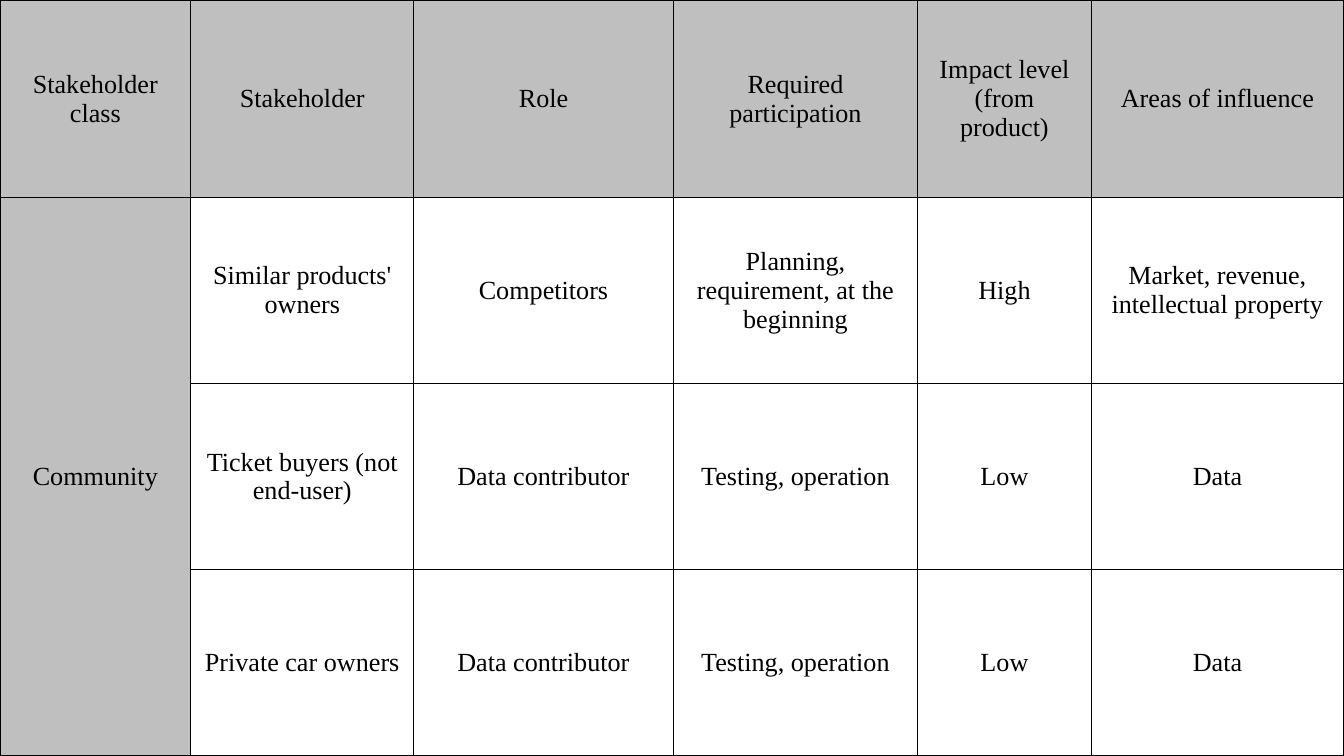
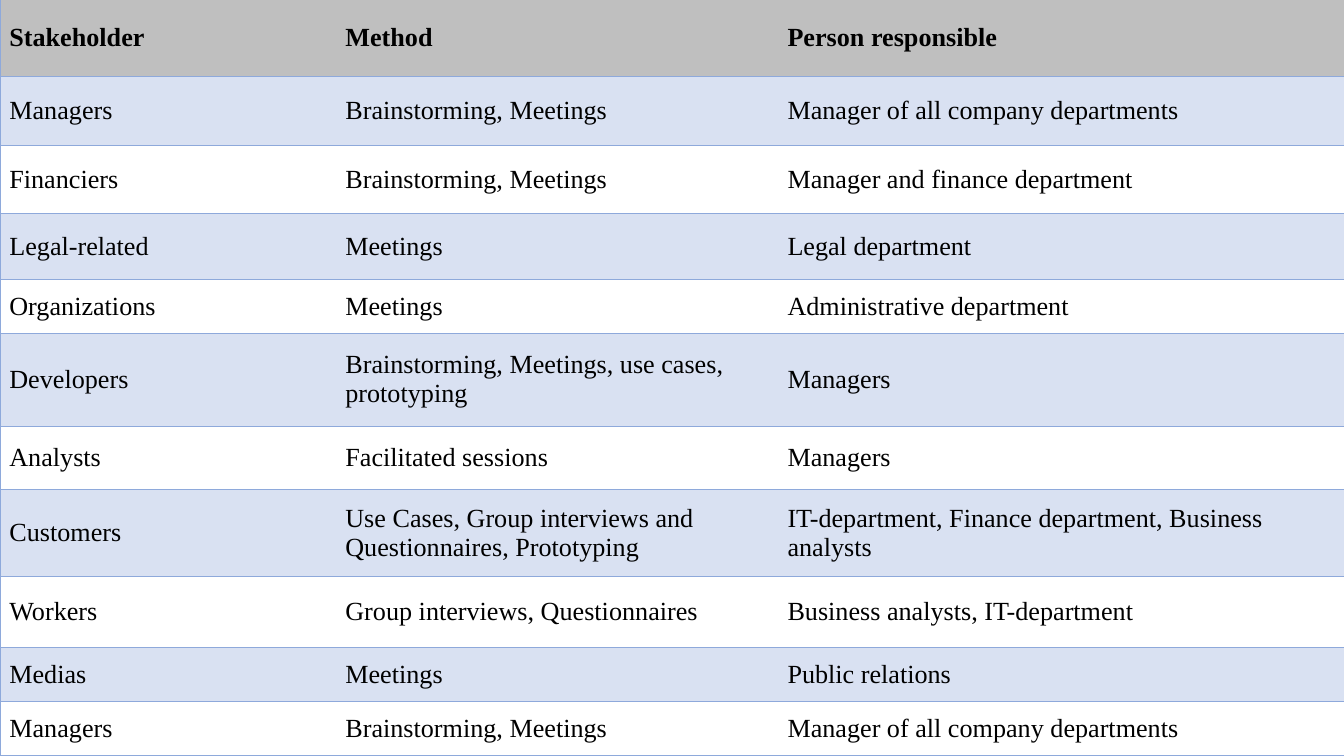
from lxml.etree import SubElement
from pptx import Presentation
from pptx.dml.color import RGBColor
from pptx.enum.text import MSO_ANCHOR, PP_ALIGN
from pptx.oxml.ns import qn
from pptx.util import Inches, Pt

COLORS = {
    "ink": "000000",
    "head": "BFBFBF",
    "plain": "FFFFFF",
    "band": "D9E1F2",
    "rule": "8EA9DB",
}
FONT = "Times New Roman"
WIDE = 10
HIGH = WIDE * 9 / 16

IMPACT = [
    ["Stakeholder class", "Stakeholder", "Role", "Required participation",
     "Impact level (from product)", "Areas of influence"],
    ["Community", "Similar products' owners", "Competitors",
     "Planning, requirement, at the beginning", "High",
     "Market, revenue, intellectual property"],
    ["", "Ticket buyers (not end-user)", "Data contributor",
     "Testing, operation", "Low", "Data"],
    ["", "Private car owners", "Data contributor",
     "Testing, operation", "Low", "Data"],
]
METHODS = [
    ["Stakeholder", "Method", "Person responsible"],
    ["Managers", "Brainstorming, Meetings", "Manager of all company departments"],
    ["Financiers", "Brainstorming, Meetings", "Manager and finance department"],
    ["Legal-related", "Meetings", "Legal department"],
    ["Organizations", "Meetings", "Administrative department"],
    ["Developers", "Brainstorming, Meetings, use cases, prototyping", "Managers"],
    ["Analysts", "Facilitated sessions", "Managers"],
    ["Customers", "Use Cases, Group interviews and Questionnaires, Prototyping",
     "IT-department, Finance department, Business analysts"],
    ["Workers", "Group interviews, Questionnaires", "Business analysts, IT-department"],
    ["Medias", "Meetings", "Public relations"],
    ["Managers", "Brainstorming, Meetings", "Manager of all company departments"],
]


def write(frame, text, size=14, bold=False, color="ink", align=PP_ALIGN.LEFT, gap=0):
    para = frame.paragraphs[0]
    para.alignment = align
    para.space_before = para.space_after = Pt(gap)
    run = para.add_run()
    run.text = text
    run.font.name = FONT
    run.font.size = Pt(size)
    run.font.bold = bold
    run.font.color.rgb = RGBColor.from_string(COLORS[color])


def border(cell, sides, color, width):
    """Draw the named sides (letters of LRTB) and clear the others."""
    props = cell._tc.get_or_add_tcPr()
    for side in "LRTB":
        line = SubElement(props, qn("a:ln" + side), w=str(Pt(width)))
        if side in sides:
            fill = SubElement(line, qn("a:solidFill"))
            SubElement(fill, qn("a:srgbClr"), val=COLORS[color])
        else:
            SubElement(line, qn("a:noFill"))


class Deck:
    def __init__(self):
        self.prs = Presentation()
        self.prs.slide_width = Inches(WIDE)
        self.prs.slide_height = Inches(HIGH)
        self.slide = None

    def page(self):
        self.slide = self.prs.slides.add_slide(self.prs.slide_layouts[6])

    def table(self, cols, rows, top=0):
        shape = self.slide.shapes.add_table(
            len(rows), len(cols), 0, Inches(top), Inches(sum(cols)), Inches(sum(rows)))
        table = shape.table
        table.first_row = table.horz_banding = False
        for col, width in zip(table.columns, cols):
            col.width = Inches(width)
        for row, height in zip(table.rows, rows):
            row.height = Inches(height)
        return table

    def cell(self, cell, text, fill, pad, sides, edge, **form):
        border(cell, sides, *edge)
        cell.fill.solid()
        cell.fill.fore_color.rgb = RGBColor.from_string(COLORS[fill])
        cell.margin_left = cell.margin_right = Inches(pad[0])
        cell.margin_top = cell.margin_bottom = Inches(pad[1])
        cell.vertical_anchor = MSO_ANCHOR.MIDDLE
        if text:
            write(cell.text_frame, text, **form)

    def impact(self):
        self.page()
        top = 1.47
        cols = [1.42, 1.66, 1.93, 1.82, 1.29, 1.88]
        table = self.table(cols, [top] + [(HIGH - top) / 3] * 3)
        for r, line in enumerate(IMPACT):
            for c, text in enumerate(line):
                head = r == 0 or c == 0
                self.cell(table.cell(r, c), text, "head" if head else "plain",
                          (0.15, 0.07) if head else (0.03, 0.05),
                          "LRTB", ("ink", 0.75), align=PP_ALIGN.CENTER)
        table.cell(1, 0).merge(table.cell(3, 0))

    def methods(self):
        self.page()
        cols = [2.5, 3.29, 4.21]
        rows = [0.58, 0.51, 0.51, 0.49, 0.4, 0.69, 0.47, 0.65, 0.53, 0.4, 0.4]
        table = self.table(cols, rows, top=-0.01)
        for r, line in enumerate(METHODS):
            fill = "head" if r == 0 else "band" if r % 2 else "plain"
            for c, text in enumerate(line):
                spaced = line[0] == "Workers" and c < 2
                self.cell(table.cell(r, c), text, fill, (0.07, 0.07),
                          ("LTB", "TB", "RTB")[c], ("rule", 0.5),
                          bold=r == 0, gap=6 if spaced else 0)


def main():
    deck = Deck()
    deck.impact()
    deck.methods()
    deck.prs.save("out.pptx")


if __name__ == "__main__":
    main()
